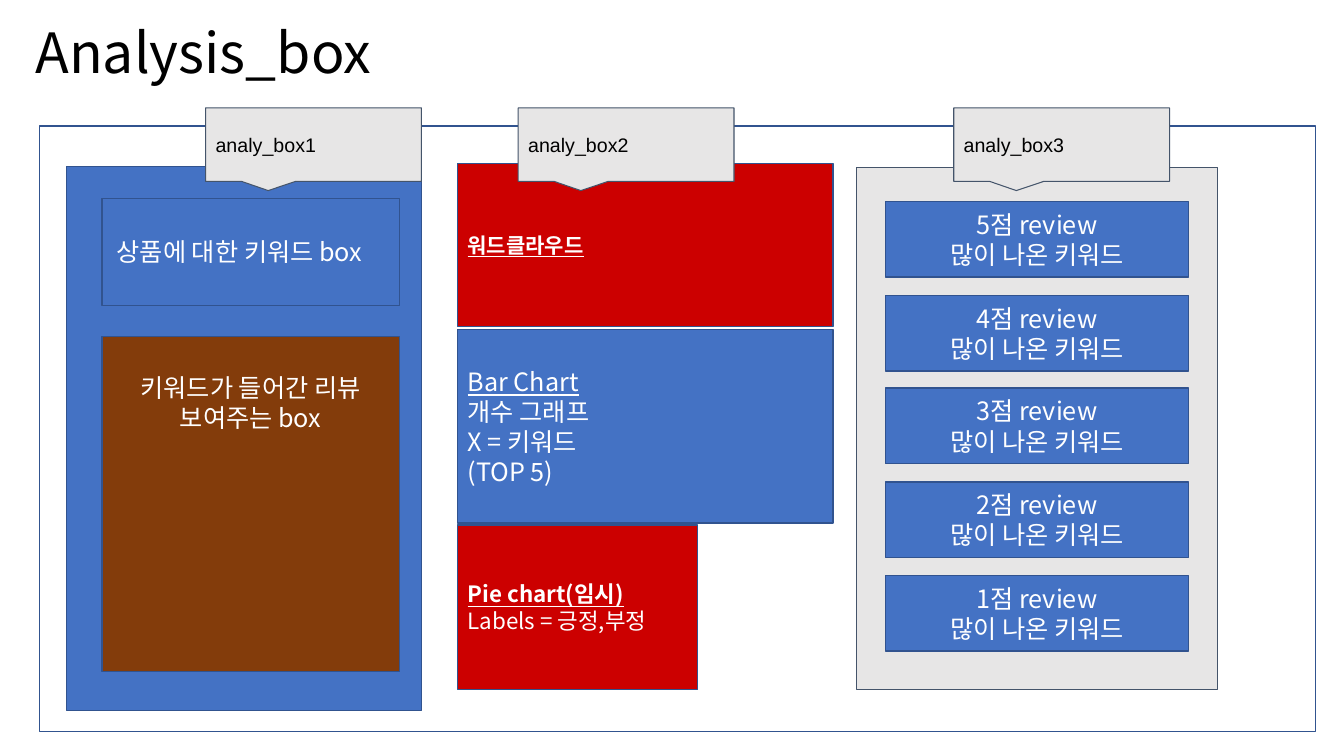
from lxml.etree import SubElement
from pptx import Presentation
from pptx.dml.color import RGBColor
from pptx.enum.shapes import MSO_SHAPE as Shape
from pptx.enum.text import MSO_ANCHOR as Anchor, PP_ALIGN as Align
from pptx.oxml.ns import qn
from pptx.util import Pt

PX = 9144
SANS = "Noto Sans CJK KR"
BLUE, RED, BROWN, GRAY = "4472C4", "CC0000", "833C0B", "E7E6E6"
BLUE_EDGE, GRAY_EDGE = ("31538F", 1), ("44546A", 0.75)

TITLE = "Analysis_box"
TITLE_BOX = (25, 24, 363, 63)
OUTER_FRAME = (39, 125, 1266, 601)
KEYWORD_PANEL = (66, 165, 352, 540)
REVIEW_BOX = (101, 334, 295, 332)
REVIEW_TEXT = "키워드가 들어간 리뷰 보여주는 box"
KEYWORD_LABEL = (106, 230, 291, 40)
KEYWORD_TEXT = "상품에 대한 키워드 box"
KEYWORD_FRAME = (101, 197, 295, 106)
CHART_BOXES = [
    ((454, 327, 372, 192), BLUE, 18, False,
     ["Bar Chart", "개수 그래프", "X = 키워드", "(TOP 5)"]),
    ((454, 521, 238, 163), RED, 16, True, ["Pie chart(임시)", "Labels = 긍정,부정"]),
    ((454, 162, 372, 162), RED, 15, True, ["워드클라우드"]),
]
SCORE_PANEL = (849, 166, 359, 518)
SCORES = [5, 4, 3, 2, 1]
SCORE_LEFT, SCORE_TOP, SCORE_WIDTH, SCORE_HEIGHT, SCORE_STEP = 878, 200, 301, 75, 92.7
SCORE_TEXT = "많이 나온 키워드"
CALLOUTS = [("analy_box1", 204), ("analy_box2", 514), ("analy_box3", 946)]
CALLOUT_TOP, CALLOUT_WIDTH, CALLOUT_HEIGHT = 107, 214, 73


def color(value):
    """Turn a hex string into a colour."""
    return RGBColor.from_string(value)


def emu(box):
    """Scale a box in px to EMU."""
    return [length * PX for length in box]


def style(paragraph, size, ink="FFFFFF", name=SANS, align=Align.LEFT, bold=False, underline=False):
    """Format a whole paragraph, Korean letters included."""
    paragraph.alignment = align
    font = paragraph.font
    font.size, font.name, font.bold, font.underline = Pt(size), name, bold, underline
    font.color.rgb = color(ink)
    defaults = paragraph._p.pPr.find(qn("a:defRPr"))
    SubElement(defaults, qn("a:ea")).set("typeface", name)


def write(shape, lines, size, heading=None, anchor=Anchor.MIDDLE, **look):
    """Fill a shape with lines; heading formats the first one only."""
    frame = shape.text_frame
    frame.word_wrap = True
    frame.vertical_anchor = anchor
    frame.text = "\n".join(lines)
    for index, paragraph in enumerate(frame.paragraphs):
        extra = heading if heading and index == 0 else {}
        style(paragraph, size, **look, **extra)


def add_box(slide, box, fill=None, edge=BLUE_EDGE, kind=Shape.RECTANGLE):
    """Add an outlined shape, hollow without a fill."""
    shape = slide.shapes.add_shape(kind, *emu(box))
    shape.shadow.inherit = False
    if fill:
        shape.fill.solid()
        shape.fill.fore_color.rgb = color(fill)
    else:
        shape.fill.background()
    line_color, width = edge
    shape.line.color.rgb = color(line_color)
    shape.line.width = Pt(width)
    return shape


def add_title(slide):
    """Place and format the title."""
    title = slide.shapes.title
    title.left, title.top, title.width, title.height = emu(TITLE_BOX)
    write(title, [TITLE], 39.6, ink="000000")
    title.text_frame.paragraphs[0].line_spacing = 0.9


def add_keyword_panel(slide):
    """Add the left panel with its keyword and review boxes."""
    add_box(slide, KEYWORD_PANEL, BLUE)
    review = add_box(slide, REVIEW_BOX, BROWN)
    write(review, [REVIEW_TEXT], 18, anchor=Anchor.TOP, align=Align.CENTER)
    review.text_frame.margin_top = 35 * PX
    label = slide.shapes.add_textbox(*emu(KEYWORD_LABEL))
    write(label, [KEYWORD_TEXT], 18, anchor=Anchor.TOP)
    add_box(slide, KEYWORD_FRAME)


def add_chart_boxes(slide):
    """Add the middle column of chart placeholders."""
    for box, fill, size, bold, lines in CHART_BOXES:
        heading = {"bold": bold, "underline": True}
        write(add_box(slide, box, fill), lines, size, heading)


def add_score_panel(slide):
    """Add the right panel with one box per review score."""
    add_box(slide, SCORE_PANEL, GRAY, GRAY_EDGE)
    for index, score in enumerate(SCORES):
        top = SCORE_TOP + round(index * SCORE_STEP)
        shape = add_box(slide, (SCORE_LEFT, top, SCORE_WIDTH, SCORE_HEIGHT), BLUE)
        write(shape, [f"{score}점 review", SCORE_TEXT], 18, align=Align.CENTER)


def add_callouts(slide):
    """Add the name tag above each column."""
    for name, left in CALLOUTS:
        box = (left, CALLOUT_TOP, CALLOUT_WIDTH, CALLOUT_HEIGHT)
        shape = add_box(slide, box, GRAY, GRAY_EDGE, Shape.RECTANGULAR_CALLOUT)
        shape.adjustments[0], shape.adjustments[1] = -0.21, 0.625
        write(shape, [name], 14, ink="000000", name="Arial")


def main():
    """Build and save the slide."""
    presentation = Presentation()
    presentation.slide_width, presentation.slide_height = emu((1333, 750))
    slide = presentation.slides.add_slide(presentation.slide_layouts[5])
    add_title(slide)
    add_box(slide, OUTER_FRAME)
    add_keyword_panel(slide)
    add_chart_boxes(slide)
    add_score_panel(slide)
    add_callouts(slide)
    presentation.save("out.pptx")


if __name__ == "__main__":
    main()
